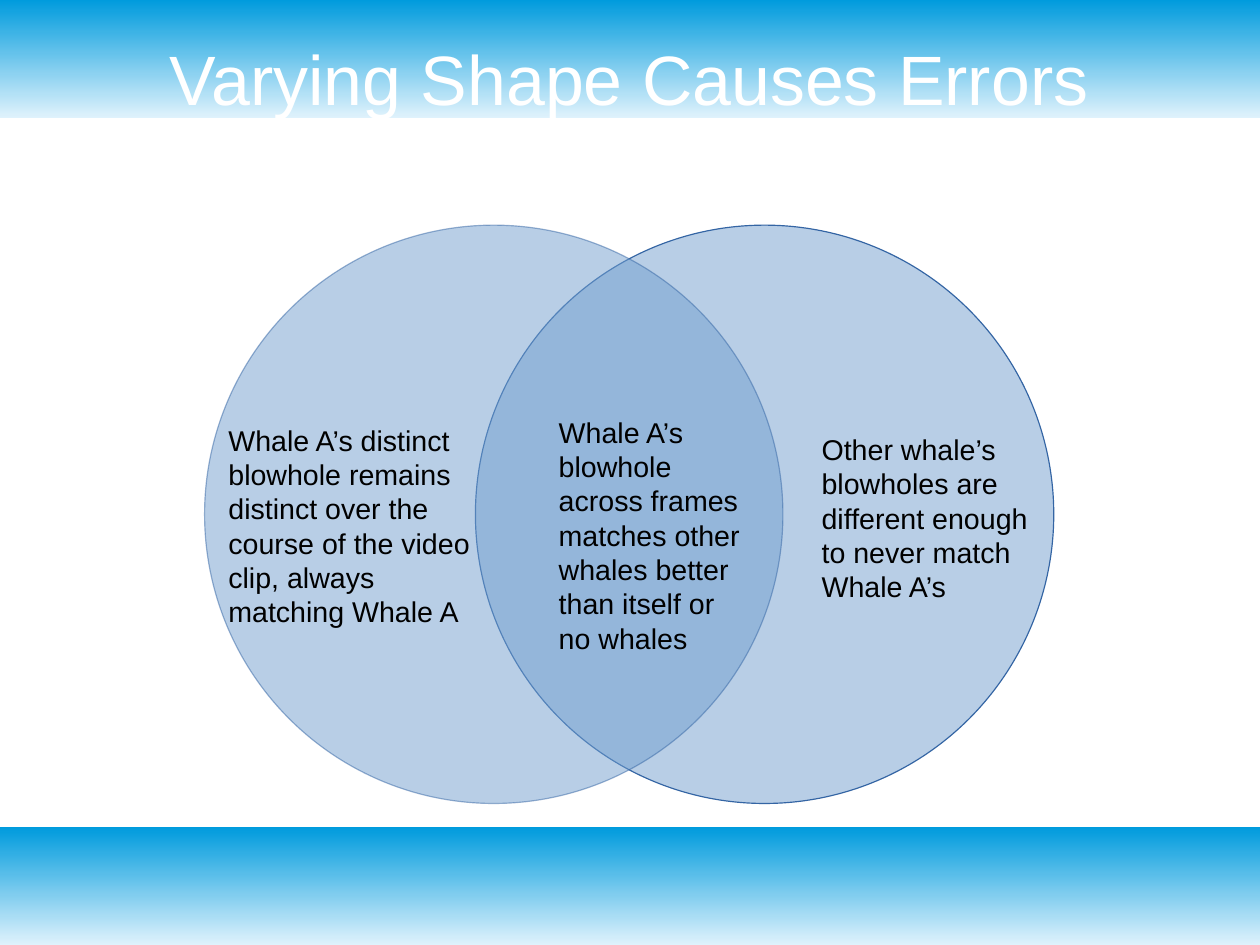
from lxml.etree import SubElement
from pptx import Presentation
from pptx.dml.color import RGBColor
from pptx.enum.shapes import MSO_SHAPE
from pptx.enum.text import MSO_ANCHOR, PP_ALIGN
from pptx.oxml.ns import qn
from pptx.util import Cm, Inches, Pt

WIDTH, HEIGHT = Cm(28), Cm(21)
BAND = Inches(1.03)
FONT = "Arial"
WHITE = RGBColor(0xFF, 0xFF, 0xFF)
BLACK = RGBColor(0x00, 0x00, 0x00)
PALE = RGBColor(0xDF, 0xF2, 0xFC)
SKY = RGBColor(0x00, 0x9B, 0xDD)
BLUE = RGBColor(0x72, 0x9F, 0xCF)
NAVY = RGBColor(0x34, 0x65, 0xA4)


def add_run(para, text, size, color):
    run = para.add_run()
    run.text = text
    run.font.name = FONT
    run.font.size = Pt(size)
    run.font.color.rgb = color


def set_alpha(fill, percent):
    """Make a solid fill see-through; percent is its opacity."""
    color = fill._xPr.find(qn("a:solidFill"))[0]
    SubElement(color, qn("a:alpha"), val=str(percent * 1000))


def add_band(slide, top):
    band = slide.shapes.add_shape(MSO_SHAPE.RECTANGLE, 0, top, WIDTH, BAND)
    band.shadow.inherit = False
    band.line.fill.background()
    band.fill.gradient()
    band.fill.gradient_angle = 90
    for stop, place, color in zip(band.fill.gradient_stops, (0, 1), (PALE, SKY)):
        stop.position = place
        stop.color.rgb = color
    # Bands lie behind the title
    slide.shapes.title.element.addprevious(band.element)


def set_title(slide, text, left, top, width, height):
    title = slide.shapes.title
    title.left, title.top = Inches(left), Inches(top)
    title.width, title.height = Inches(width), Inches(height)
    frame = title.text_frame
    frame.margin_left = frame.margin_right = 0
    frame.margin_top = frame.margin_bottom = 0
    frame.vertical_anchor = MSO_ANCHOR.MIDDLE
    para = frame.paragraphs[0]
    para.alignment = PP_ALIGN.CENTER
    add_run(para, text, 44, WHITE)


def add_circle(slide, left, top, size, edge):
    """Draw a half clear circle; edge is the opacity of its outline."""
    circle = slide.shapes.add_shape(
        MSO_SHAPE.OVAL, Inches(left), Inches(top), Inches(size), Inches(size))
    circle.shadow.inherit = False
    circle.fill.solid()
    circle.fill.fore_color.rgb = BLUE
    set_alpha(circle.fill, 50)
    circle.line.width = 0
    circle.line.color.rgb = NAVY
    if edge < 100:
        set_alpha(circle.line.fill, edge)


def add_label(slide, text, left, top, width, height):
    box = slide.shapes.add_textbox(
        Inches(left), Inches(top), Inches(width), Inches(height))
    box.text_frame.word_wrap = True
    add_run(box.text_frame.paragraphs[0], text, 18, BLACK)


def add_venn(slide, left, top, size, shift):
    """Two circles, the right one moved by shift, with a label per region."""
    add_circle(slide, left + shift, top, size, 100)
    add_circle(slide, left, top, size, 50)
    labels = [
        ("Whale A’s distinct blowhole remains distinct over the course of "
         "the video clip, always matching Whale A", 0.11, 1.68, 2.4, 1.85),
        ("Other whale’s blowholes are different enough to never match "
         "Whale A’s", 5.3, 1.76, 2, 1.53),
        ("Whale A’s blowhole across frames matches other whales better than "
         "itself or no whales", 3, 1.61, 1.9, 2.06),
    ]
    for text, x, y, width, height in labels:
        add_label(slide, text, left + x, top + y, width, height)


def main():
    deck = Presentation()
    deck.slide_width, deck.slide_height = WIDTH, HEIGHT
    slide = deck.slides.add_slide(deck.slide_layouts[5])
    for top in (0, HEIGHT - BAND):
        add_band(slide, top)
    set_title(slide, "Varying Shape Causes Errors", 0.55, 0.33, 9.92, 0.7)
    add_venn(slide, 1.79, 1.97, 5.06, 2.37)
    deck.save("out.pptx")


if __name__ == "__main__":
    main()
